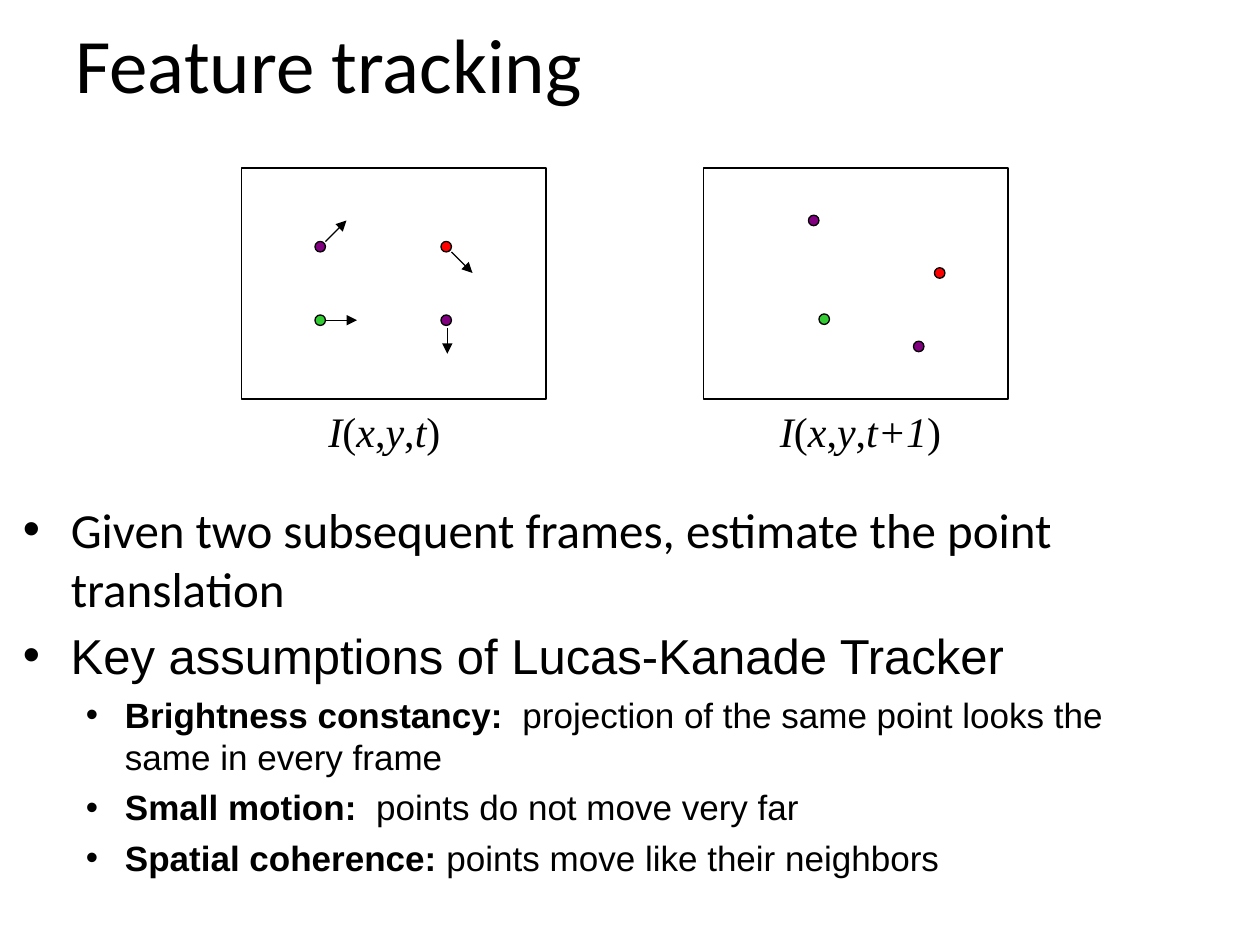
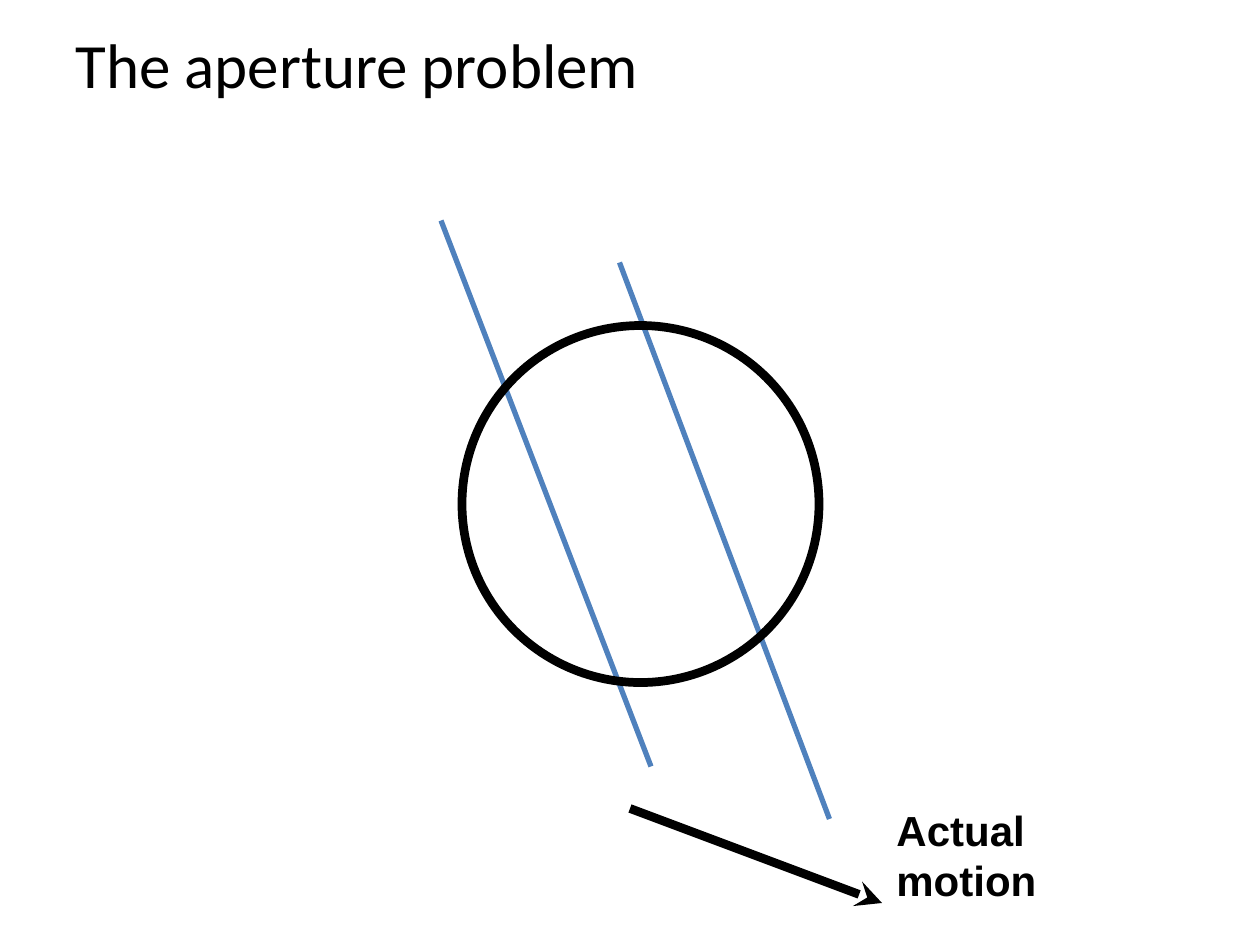
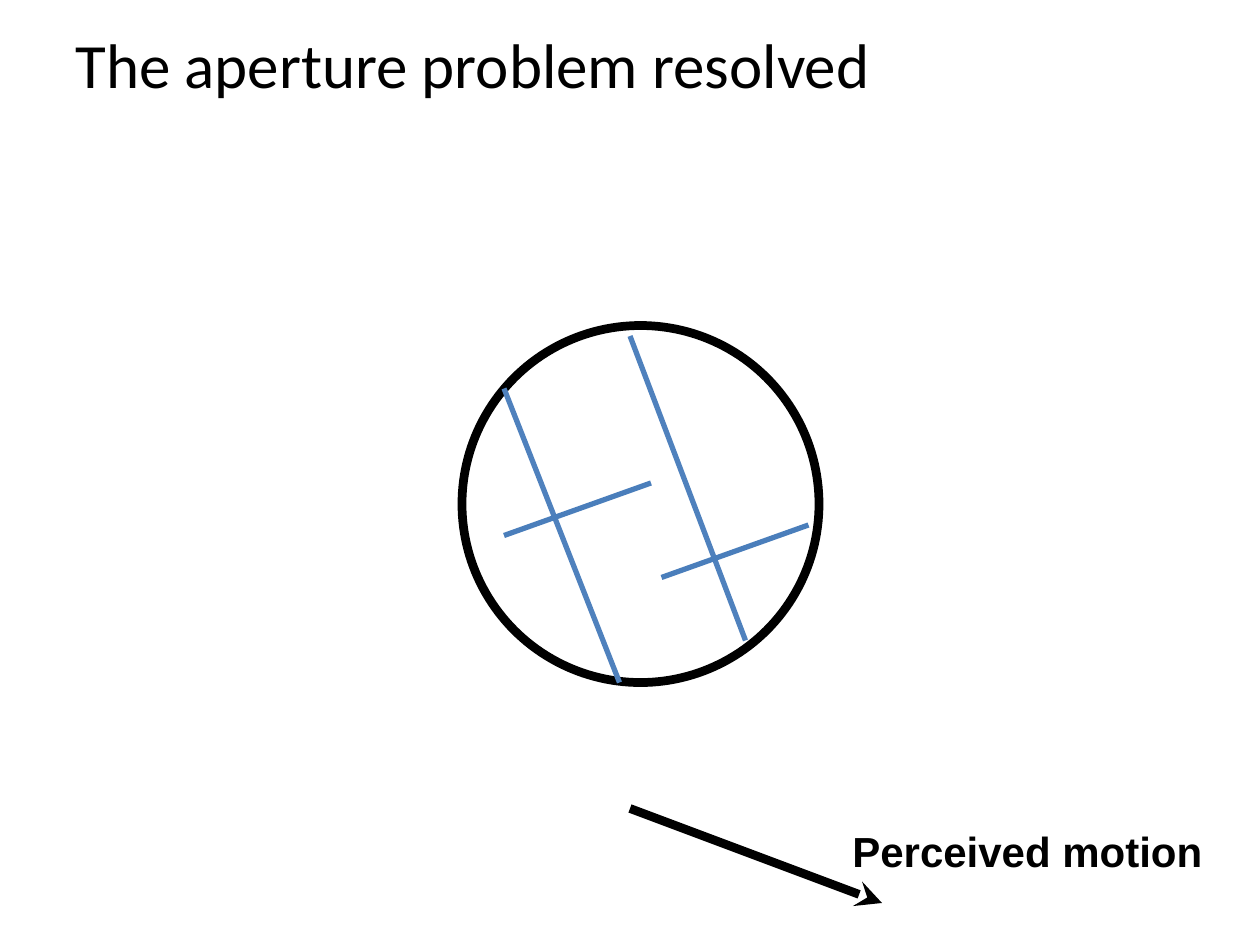
from collections import namedtuple
from itertools import groupby

from pptx import Presentation
from pptx.dml.color import RGBColor
from pptx.enum.shapes import MSO_CONNECTOR, MSO_SHAPE
from pptx.enum.text import MSO_ANCHOR, MSO_AUTO_SIZE
from pptx.oxml.ns import qn
from pptx.oxml.xmlchemy import OxmlElement
from pptx.util import Inches, Pt

Box = namedtuple("Box", "left top width height")

CELL = Inches(1) / 12
COLUMNS, ROWS = 120, 90
BLACK, WHITE, PURPLE, RED, GREEN = "000000", "FFFFFF", "800080", "FF0000", "33CC33"
EDGE_BLUE, CROSS_BLUE = "4F81BD", "4A7EBB"
TITLE_FONT, BODY_FONT, MATH_FONT = "Calibri", "Arial", "Times New Roman"
APERTURE = Box(44, 31, 34, 34)


def color(value):
    """Turn a hex string into a colour."""
    return RGBColor.from_string(value)


def cells(*values):
    """Turn grid cells into slide lengths."""
    return [round(value * CELL) for value in values]


def within(box, left, top, width, height):
    """Give a box whose position is relative to another box."""
    return Box(box.left + left, box.top + top, width, height)


def add_run(paragraph, text, font=BODY_FONT, size=20, bold=False, italic=False):
    """Append a formatted run to a paragraph."""
    run = paragraph.add_run()
    run.text = text
    run.font.name, run.font.size = font, Pt(size)
    run.font.bold, run.font.italic = bold, italic
    run.font.color.rgb = color(BLACK)


def add_frame(slide, box, wrap=True, anchor=MSO_ANCHOR.TOP):
    """Add a text box and return its text frame."""
    frame = slide.shapes.add_textbox(*cells(*box)).text_frame
    frame.word_wrap = wrap
    frame.vertical_anchor = anchor
    frame.auto_size = MSO_AUTO_SIZE.NONE if wrap else MSO_AUTO_SIZE.SHAPE_TO_FIT_TEXT
    return frame


def add_bullet(paragraph, margin, hanging):
    """Give a paragraph a round bullet with a hanging indent in inches."""
    properties = paragraph._p.get_or_add_pPr()
    properties.set("marL", str(Inches(margin)))
    properties.set("indent", str(-Inches(hanging)))
    font = OxmlElement("a:buFont")
    font.set("typeface", BODY_FONT)
    bullet = OxmlElement("a:buChar")
    bullet.set("char", "•")
    properties.extend([font, bullet])


def add_shape(slide, kind, box, fill=None, width=0.75):
    """Add an outlined preset shape."""
    shape = slide.shapes.add_shape(kind, *cells(*box))
    shape.shadow.inherit = False
    if fill:
        shape.fill.solid()
        shape.fill.fore_color.rgb = color(fill)
    else:
        shape.fill.background()
    shape.line.color.rgb = color(BLACK)
    shape.line.width = Pt(width)


def add_line(slide, box, ends, stroke=BLACK, width=0.75, arrow=None):
    """Add a straight line whose ends are relative to a box."""
    start_x, start_y, end_x, end_y = ends
    points = cells(box.left + start_x, box.top + start_y, box.left + end_x, box.top + end_y)
    connector = slide.shapes.add_connector(MSO_CONNECTOR.STRAIGHT, *points)
    connector.line.color.rgb = color(stroke)
    connector.line.width = Pt(width)
    properties = connector._element.spPr
    if arrow:
        tail = OxmlElement("a:tailEnd")
        tail.set("type", arrow)
        properties.find(qn("a:ln")).append(tail)
    properties.append(OxmlElement("a:effectLst"))


def add_slide(presentation, title, size=36):
    """Add a blank slide with the shared title style."""
    slide = presentation.slides.add_slide(presentation.slide_layouts[6])
    frame = add_frame(slide, Box(6, 0, 108, 12), anchor=MSO_ANCHOR.MIDDLE)
    add_run(frame.paragraphs[0], title, font=TITLE_FONT, size=size)
    return slide


def add_image_frame(slide, box, dots, motions, formula, formula_box):
    """Draw one image frame with its points, motion arrows and formula."""
    add_shape(slide, MSO_SHAPE.RECTANGLE, box, WHITE)
    for left, top, fill in dots:
        add_shape(slide, MSO_SHAPE.OVAL, within(box, left, top, 1, 1), fill)
    for motion in motions:
        add_line(slide, box, motion, arrow="triangle")
    paragraph = add_frame(slide, within(box, *formula_box), wrap=False).paragraphs[0]
    for upright, letters in groupby(formula, key=lambda letter: letter in "(),"):
        add_run(paragraph, "".join(letters), font=MATH_FONT, size=24, italic=not upright)


def add_key_points(slide, box, heading, points):
    """Write a bulleted heading with bulleted points below it."""
    frame = add_frame(slide, box)
    paragraph = frame.paragraphs[0]
    add_bullet(paragraph, 0.38, 0.38)
    add_run(paragraph, heading, size=28)
    for term, meaning in points:
        paragraph = frame.add_paragraph()
        paragraph.level = 1
        add_bullet(paragraph, 0.81, 0.31)
        paragraph.space_before = Pt(5)
        add_run(paragraph, term, bold=True)
        add_run(paragraph, meaning)


def add_aperture(slide, box):
    """Draw the round aperture."""
    add_shape(slide, MSO_SHAPE.OVAL, box, width=5)


def add_motion(slide, box, label, label_box):
    """Draw the motion arrow below the aperture and its label."""
    paragraph = add_frame(slide, within(box, *label_box), wrap=False).paragraphs[0]
    add_run(paragraph, label, size=24, bold=True)
    add_line(slide, box, (16, 46, 40, 55), width=5, arrow="stealth")


def build_tracking(presentation):
    """Build the slide on feature tracking."""
    slide = add_slide(presentation, "Feature tracking", size=44)
    paragraph = add_frame(slide, Box(1, 47, 117, 13)).paragraphs[0]
    add_bullet(paragraph, 0.38, 0.38)
    add_run(paragraph, "Given two subsequent frames, estimate the point translation",
            font=TITLE_FONT, size=28)
    add_image_frame(
        slide, Box(23, 16, 29, 22),
        [(7, 7, PURPLE), (19, 7, RED), (7, 14, GREEN), (19, 14, PURPLE)],
        [(8, 7, 10, 5), (8, 14.5, 11, 14.5), (20, 8, 22, 10), (19.6, 15.2, 19.6, 17.7)],
        "I(x,y,t)", (7.1, 22, 13.1, 6))
    add_image_frame(
        slide, Box(67, 16, 29, 22),
        [(10, 4.5, PURPLE), (22, 9.5, RED), (11, 13.9, GREEN), (20, 16.5, PURPLE)],
        [], "I(x,y,t+1)", (6.1, 22, 17.8, 6))
    add_key_points(slide, Box(1, 59, 108, 29), "Key assumptions of Lucas-Kanade Tracker", [
        ("Brightness constancy:  ", "projection of the same point looks the same in every frame"),
        ("Small motion:", "  points do not move very far"),
        ("Spatial coherence:", " points move like their neighbors"),
    ])


def build_problem(presentation):
    """Build the slide on the aperture problem."""
    slide = add_slide(presentation, "The aperture problem")
    for edge in [(-2, -10, 18, 42), (15, -6, 35, 47)]:
        add_line(slide, APERTURE, edge, EDGE_BLUE, 3)
    add_aperture(slide, APERTURE)
    add_motion(slide, APERTURE, "Actual motion", (40.2, 45, 29, 6))


def build_resolved(presentation):
    """Build the slide on the resolved aperture problem."""
    slide = add_slide(presentation, "The aperture problem resolved")
    add_aperture(slide, APERTURE)
    for edge, cross in [((4, 6, 15, 34), (4, 20, 18, 15)),
                        ((16, 1, 27, 30), (19, 24, 33, 19))]:
        add_line(slide, APERTURE, edge, EDGE_BLUE, 3)
        add_line(slide, APERTURE, cross, CROSS_BLUE, 3)
    add_motion(slide, APERTURE, "Perceived motion", (36, 47, 35.8, 6))


def main():
    """Build and save the presentation."""
    presentation = Presentation()
    presentation.slide_width, presentation.slide_height = cells(COLUMNS, ROWS)
    build_tracking(presentation)
    build_problem(presentation)
    build_resolved(presentation)
    presentation.save("out.pptx")


if __name__ == "__main__":
    main()
